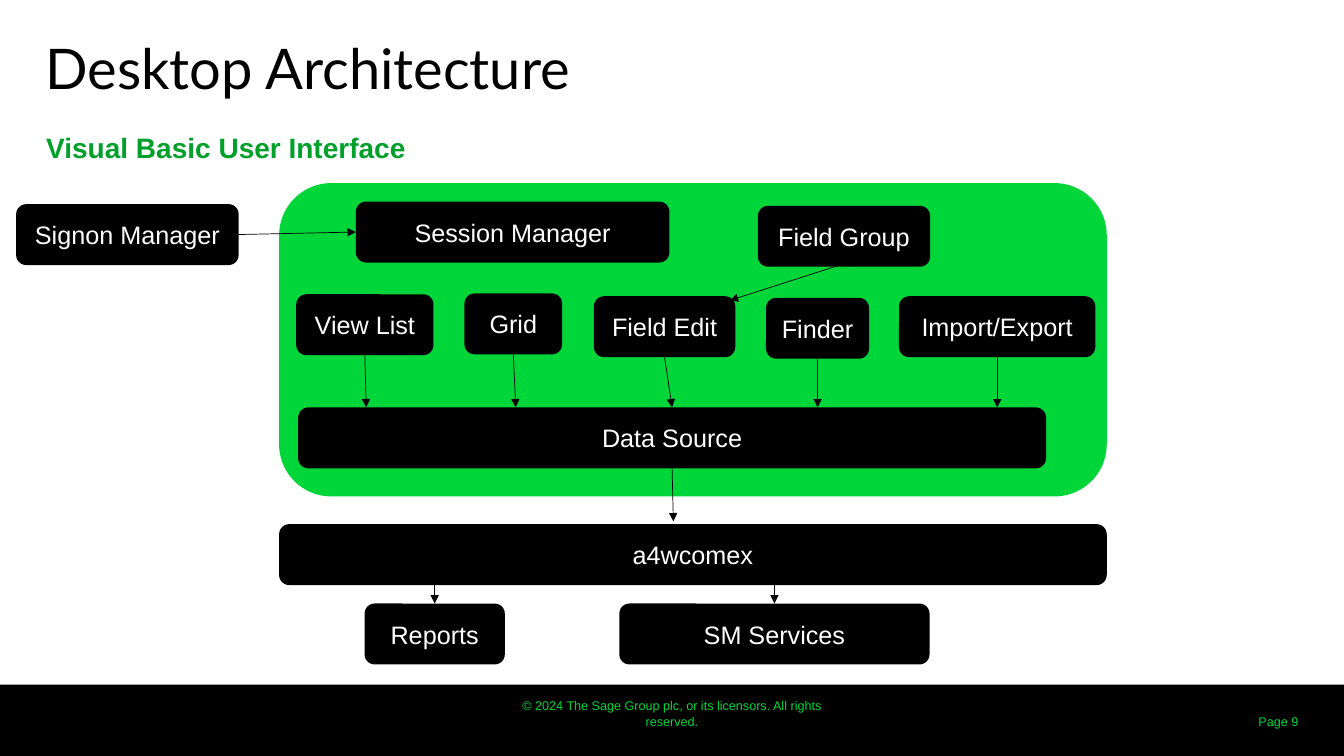
from pptx import Presentation
from pptx.dml.color import RGBColor
from pptx.enum import shapes, text
from pptx.oxml import parse_xml
from pptx.oxml import ns
from pptx.util import Pt

BLACK, WHITE, GREEN = "000000", "FFFFFF", "00D639"
BOX_HEIGHT = 43.5
TOP, LEFT, BOTTOM, RIGHT = range(4)

BOXES = [
    ("Session Manager", 254.2, 144, 224),
    ("Field Group", 541.4, 147, 123),
    ("View List", 211.6, 210.2, 98),
    ("Grid", 331.8, 209.6, 69.8),
    ("Field Edit", 424.2, 211.6, 101),
    ("Finder", 547.2, 212.7, 73.6),
    ("Import/Export", 642.2, 211.6, 140.2),
    ("Data Source", 213, 291, 534.2),
    ("Signon Manager", 11.5, 145.8, 159),
    ("a4wcomex", 199.4, 374.4, 591.2),
    ("Reports", 260.4, 431.1, 100.2),
    ("SM Services", 442.4, 431.1, 221.6),
]

ARROWS = [
    (("Signon Manager", RIGHT), ("Session Manager", LEFT)),
    ((608.6, 186.5), (521.3, 214.6)),
    (("View List", BOTTOM), (261.6, 291)),
    (("Grid", BOTTOM), (368.4, 291)),
    (("Field Edit", BOTTOM), ("Data Source", TOP)),
    (("Finder", BOTTOM), (584, 291)),
    (("Import/Export", BOTTOM), (712.3, 291)),
    (("Data Source", BOTTOM), (481, 372.4)),
    ((310.5, 415.5), ("Reports", TOP)),
    ((553.2, 415.5), ("SM Services", TOP)),
]


def color(value):
    return RGBColor.from_string(value)


def write(box, words, size=18, fill=WHITE, font="Arial", bold=False,
          align=text.PP_ALIGN.LEFT, anchor=text.MSO_ANCHOR.TOP, insets=(7.2, 3.6)):
    frame = box.text_frame
    frame.word_wrap = True
    frame.vertical_anchor = anchor
    frame.margin_left = frame.margin_right = Pt(insets[0])
    frame.margin_top = frame.margin_bottom = Pt(insets[1])
    para = frame.paragraphs[0]
    para.alignment = align
    span = para.add_run()
    span.text = words
    span.font.name = font
    span.font.size = Pt(size)
    span.font.bold = bold
    span.font.color.rgb = color(fill)


def add_text(page, words, left, top, width, height, **style):
    box = page.shapes.add_textbox(Pt(left), Pt(top), Pt(width), Pt(height))
    write(box, words, **style)


def add_block(page, left, top, width, height, fill, kind=shapes.MSO_SHAPE.ROUNDED_RECTANGLE):
    block = page.shapes.add_shape(kind, Pt(left), Pt(top), Pt(width), Pt(height))
    block.shadow.inherit = False
    block.fill.solid()
    block.fill.fore_color.rgb = color(fill)
    block.line.fill.background()
    return block


def add_component(page, name, left, top, width):
    box = add_block(page, left, top, width, BOX_HEIGHT, BLACK)
    write(box, name, align=text.PP_ALIGN.CENTER, anchor=text.MSO_ANCHOR.MIDDLE)
    return box


def add_arrow(page, boxes, start, end):
    arrow = page.shapes.add_connector(shapes.MSO_CONNECTOR.STRAIGHT, 0, 0, 0, 0)
    if start[0] in boxes:
        arrow.begin_connect(boxes[start[0]], start[1])
    else:
        arrow.begin_x, arrow.begin_y = Pt(start[0]), Pt(start[1])
    if end[0] in boxes:
        arrow.end_connect(boxes[end[0]], end[1])
    else:
        arrow.end_x, arrow.end_y = Pt(end[0]), Pt(end[1])
    arrow.line.width = Pt(0.5)
    arrow.line.color.rgb = color(BLACK)
    line = arrow.line._get_or_add_ln()
    line.append(parse_xml(f'<a:tailEnd {ns.nsdecls("a")} type="triangle"/>'))
    arrow._element.spPr.append(parse_xml(f'<a:effectLst {ns.nsdecls("a")}/>'))


def main():
    deck = Presentation()
    deck.slide_width, deck.slide_height = Pt(960), Pt(540)
    page = deck.slides.add_slide(deck.slide_layouts[6])

    add_block(page, 0, 489, 960, 51, BLACK, shapes.MSO_SHAPE.RECTANGLE)
    add_text(page, "© 2024 The Sage Group plc, or its licensors. All rights reserved.",
             354, 506, 252, 18, size=9, fill="00D638", insets=(0, 3.6),
             align=text.PP_ALIGN.CENTER, anchor=text.MSO_ANCHOR.BOTTOM)
    add_text(page, "Desktop Architecture", 32.6, 24, 894, 47,
             size=40, fill=BLACK, font="Lato", insets=(0, 0))
    add_text(page, "Visual Basic User Interface", 33, 90, 893.5, 34.5,
             size=20, fill="00A02B", bold=True, insets=(0, 3.6))
    add_text(page, "Page 9", 869, 501, 65.5, 29, size=9, fill=GREEN,
             align=text.PP_ALIGN.RIGHT, anchor=text.MSO_ANCHOR.MIDDLE)

    add_block(page, 199.4, 130.8, 591.2, 223.8, GREEN)
    boxes = {name: add_component(page, name, *place) for name, *place in BOXES}
    for start, end in ARROWS:
        add_arrow(page, boxes, start, end)

    deck.save("out.pptx")


if __name__ == "__main__":
    main()
